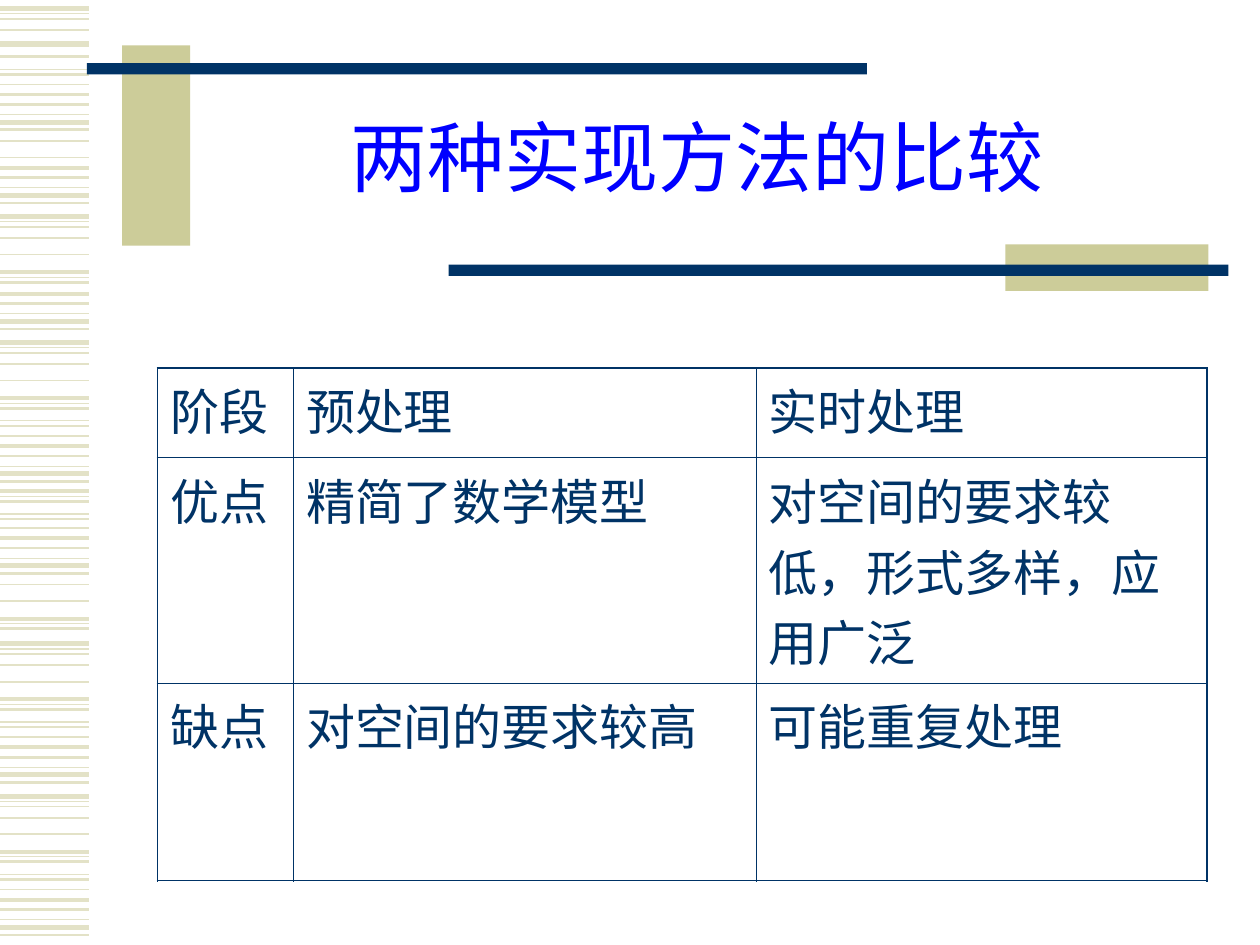
from lxml import etree
from pptx import Presentation
from pptx.dml.color import RGBColor
from pptx.enum.shapes import MSO_CONNECTOR, MSO_SHAPE
from pptx.enum.text import MSO_ANCHOR, PP_ALIGN
from pptx.oxml.ns import qn
from pptx.util import Inches, Pt

RECT, STRAIGHT = MSO_SHAPE.RECTANGLE, MSO_CONNECTOR.STRAIGHT
CENTER, LEFT, MIDDLE = PP_ALIGN.CENTER, PP_ALIGN.LEFT, MSO_ANCHOR.MIDDLE

NAVY = RGBColor(0x00, 0x33, 0x66)
BLUE = RGBColor(0x00, 0x00, 0xFF)
KHAKI = RGBColor(0xCC, 0xCC, 0x99)
PALE_KHAKI = RGBColor(0xE3, 0xE2, 0xC7)
FONT = "Times New Roman"

# Stripe patterns: (offset from the pattern's top, line weight)
SHORT = [(0, 1), (0.08, 2.25), (0.16, 1.5), (0.24, 0.75), (0.3, 3), (0.36, 1.5)]
LONG = [(0, 3), (0.04, 0.75), (0.08, 1), (0.17, 1), (0.3, 1), (0.44, 2.25),
        (0.48, 0.75), (0.52, 1.5), (0.62, 0.75), (0.66, 1.5)]
PAIR = [(0, 3), (0.1, 1.5)]
# Placement: (pattern, top, first stripe, stripe after the last)
STRIPES = [
    (LONG, 0.07, 0, 4), (PAIR, 0.35, 0, 2), (LONG, -0.07, 8, 10),
    (SHORT, 0.67, 0, 6), (LONG, 0.95, 3, 5), (SHORT, 1.25, 0, 6),
    (LONG, 1.72, 0, 8), (SHORT, 2.25, 1, 6), (LONG, 2.72, 0, 10),
    (SHORT, 3.46, 0, 6), (LONG, 3.46, 5, 10), (SHORT, 4.19, 0, 6),
    (LONG, 4.47, 3, 8), (LONG, 5.11, 0, 10), (SHORT, 5.85, 0, 6),
    (LONG, 6.32, 0, 10), (SHORT, 7.06, 0, 6),
]

COLUMNS = [1.08, 3.67, 3.58]
ROWS = [0.71, 1.79, 1.57]
COMPARISON = [
    ["阶段", "预处理", "实时处理"],
    ["优点", "精简了数学模型", "对空间的要求较低，形式多样，应用广泛"],
    ["缺点", "对空间的要求较高", "可能重复处理"],
]
OUTER, INNER = 1.08, 0.45


def write(tf, text, size, color, align=LEFT, spacing=None, before=None):
    tf.word_wrap = True
    p = tf.paragraphs[0]
    p.alignment, p.line_spacing = align, spacing
    if before:
        p.space_before = Pt(before)
    p._p.get_or_add_pPr().set("hangingPunct", "0")
    r = p.add_run()
    r.text = text
    r.font.name, r.font.size = FONT, Pt(size)
    r.font.color.rgb = color


def add_stripe(s, x, y, w, weight):
    line = s.shapes.add_connector(STRAIGHT, Inches(x), Inches(y),
                                  Inches(x + w), Inches(y))
    line.line.color.rgb = PALE_KHAKI
    line.line.width = Pt(weight)
    etree.SubElement(line._element.spPr, qn("a:effectLst"))


def add_bar(s, x, y, w, h, color):
    sp = s.shapes.add_shape(RECT, Inches(x), Inches(y), Inches(w), Inches(h))
    sp.shadow.inherit = False
    sp.fill.solid()
    sp.fill.fore_color.rgb = color
    sp.line.fill.background()


def stripe_band(s, x, y, w):
    for pattern, top, first, stop in STRIPES:
        for offset, weight in pattern[first:stop]:
            add_stripe(s, x, y + top + offset, w, weight)


def title_frame(s, x, y, w, h):
    """Two navy rules with khaki blocks behind them, around the title."""
    rule_w, rule_h = 6.19, 0.09
    add_bar(s, x + 0.28, y, 0.54, 1.59, KHAKI)
    add_bar(s, x, y + 0.14, rule_w, rule_h, NAVY)
    add_bar(s, x + w - 1.77, y + h - 0.37, 1.61, 0.37, KHAKI)
    add_bar(s, x + w - rule_w, y + h - 0.21, rule_w, rule_h, NAVY)


def title(s, x, y, w, h):
    tf = s.shapes.add_textbox(Inches(x), Inches(y), Inches(w), Inches(h)).text_frame
    tf.vertical_anchor = MIDDLE
    write(tf, "两种实现方法的比较", 44, BLUE, align=CENTER, spacing=0.85)


def set_borders(cell, weights):
    tc_pr = cell._tc.get_or_add_tcPr()
    for i, (side, weight) in enumerate(weights.items()):
        ln = etree.Element(qn(f"a:ln{side}"), w=str(Pt(weight)))
        fill = etree.SubElement(ln, qn("a:solidFill"))
        etree.SubElement(fill, qn("a:srgbClr"), val=str(NAVY))
        tc_pr.insert(i, ln)


def comparison_table(s, x, y, w, h):
    last_row, last_col = len(ROWS) - 1, len(COLUMNS) - 1
    table = s.shapes.add_table(len(ROWS), len(COLUMNS), Inches(x), Inches(y),
                               Inches(w), Inches(h)).table
    table.first_row = table.horz_banding = False
    for column, width in zip(table.columns, COLUMNS):
        column.width = Inches(width)
    for i, (row, height) in enumerate(zip(table.rows, ROWS)):
        row.height = Inches(height)
        for j, cell in enumerate(row.cells):
            cell.fill.background()
            write(cell.text_frame, COMPARISON[i][j], 28, NAVY, before=7)
            on_edge = {"L": j == 0, "R": j == last_col,
                       "T": i == 0, "B": i == last_row}
            set_borders(cell, {side: OUTER if edge else INNER
                               for side, edge in on_edge.items()})


def main():
    prs = Presentation()
    prs.slide_width, prs.slide_height = Inches(10), Inches(7.5)
    s = prs.slides.add_slide(prs.slide_layouts[6])
    stripe_band(s, 0, 0, 0.71)
    title_frame(s, 0.69, 0.36, 9.06, 1.95)
    title(s, 1.5, 0.67, 8.07, 1.25)
    comparison_table(s, 1.25, 2.92, sum(COLUMNS), sum(ROWS))
    prs.save("out.pptx")


if __name__ == "__main__":
    main()
